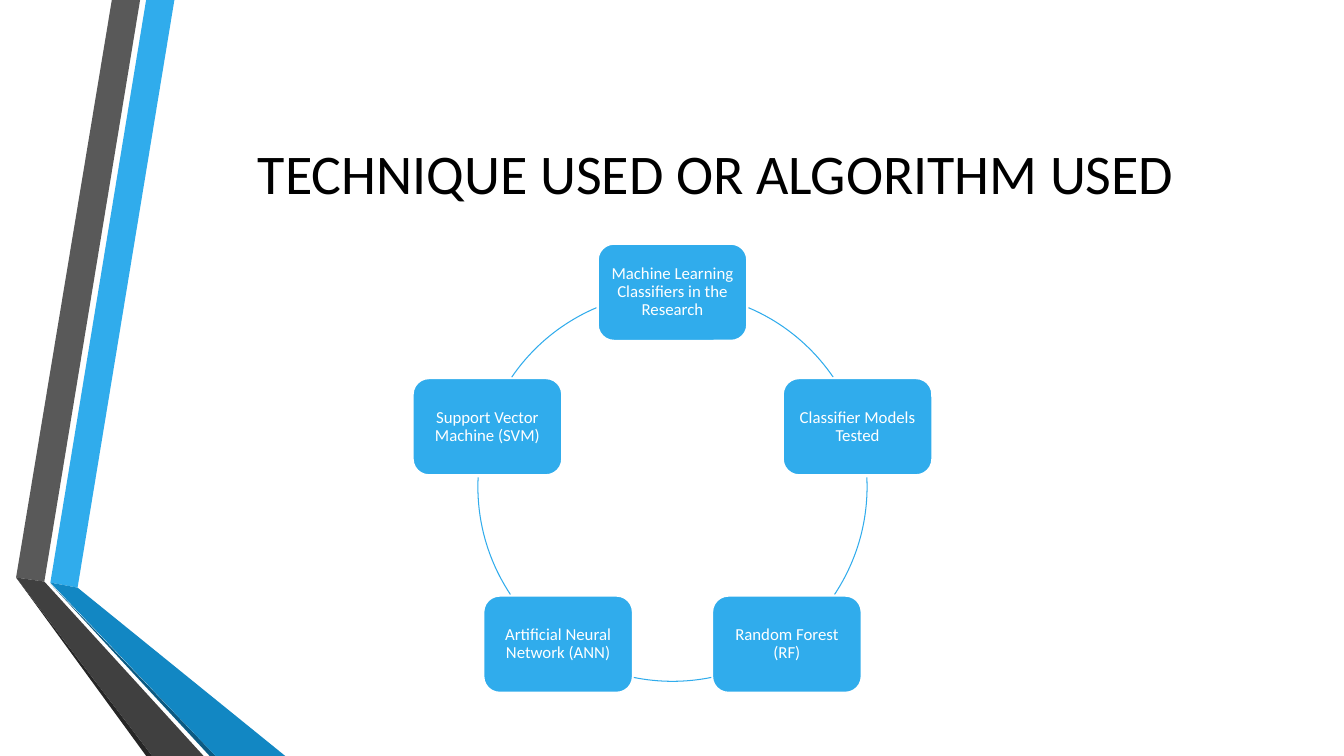
import dataclasses
import math
import typing

import pptx
import pptx.dml.color
import pptx.enum.shapes
import pptx.enum.text
import pptx.util

Inches = pptx.util.Inches
Pt = pptx.util.Pt
Color = pptx.dml.color.RGBColor.from_string


@dataclasses.dataclass(frozen=True)
class Theme:
    font: str = "Calibri"
    title_size: float = 40
    node_size: float = 12
    ink: str = "000000"
    paper: str = "FFFFFF"
    accent: str = "30ACEC"
    accent_dark: str = "1287C3"
    accent_deep: str = "0C5A82"
    gray: str = "595959"
    gray_dark: str = "404040"
    gray_deep: str = "262626"


class Ribbon(typing.NamedTuple):
    color: str
    points: list[tuple[float, float]]


class Stage(typing.NamedTuple):
    label: str
    arc_start: float
    arc_end: float


THEME = Theme()
CENTER_X, CENTER_Y, RADIUS = 6.67, 4.83, 1.93
NODE_WIDTH, NODE_HEIGHT = 1.48, 0.96

RIBBONS = [
    Ribbon(THEME.accent, [(0.5, 5.78), (0.77, 5.83), (1.73, 0), (1.45, 0)]),
    Ribbon(THEME.gray, [(1.39, 0), (1.11, 0), (0.16, 5.73), (0.44, 5.77)]),
    Ribbon(THEME.gray_deep, [(0.16, 5.73), (1.45, 7.5), (1.51, 7.5)]),
    Ribbon(THEME.accent_deep, [(0.5, 5.79), (2.08, 7.5), (2.14, 7.5)]),
    Ribbon(THEME.accent_dark, [(0.5, 5.78), (2.14, 7.5), (2.83, 7.5), (0.77, 5.83)]),
    Ribbon(THEME.gray_dark, [(2.02, 7.5), (0.44, 5.77), (0.16, 5.73), (1.51, 7.5)]),
]

STAGES = [
    Stage("Machine Learning Classifiers in the Research", 293, 325.7),
    Stage("Classifier Models Tested", 357.2, 33.6),
    Stage("Random Forest (RF)", 78.5, 101.5),
    Stage("Artificial Neural Network (ANN)", 146.4, 182.8),
    Stage("Support Vector Machine (SVM)", 214.3, 247),
]


def apply(target: typing.Any, values: dict[str, typing.Any]) -> None:
    for name, value in values.items():
        setattr(target, name, value)


def write(shape: typing.Any, text: str, size: float, color: str,
          inset: float, line_spacing: float) -> None:
    frame = shape.text_frame
    frame.text = text
    apply(frame, {
        "word_wrap": True,
        "auto_size": pptx.enum.text.MSO_AUTO_SIZE.NONE,
        "vertical_anchor": pptx.enum.text.MSO_ANCHOR.MIDDLE,
        "margin_left": Inches(inset),
        "margin_right": Inches(inset),
        "margin_top": Inches(0.05),
        "margin_bottom": Inches(0.05),
    })
    para = frame.paragraphs[0]
    apply(para, {
        "alignment": pptx.enum.text.PP_ALIGN.CENTER,
        "line_spacing": line_spacing,
    })
    span = para.runs[0]
    apply(span.font, {"name": THEME.font, "size": Pt(size)})
    span.font.color.rgb = Color(color)


def draw_ribbon(page: typing.Any, ribbon: Ribbon) -> None:
    corners = [(Inches(x), Inches(y)) for x, y in ribbon.points]
    builder = page.shapes.build_freeform(*corners[0])
    builder.add_line_segments(corners[1:], close=True)
    shape = builder.convert_to_shape()
    shape.shadow.inherit = False
    shape.fill.solid()
    shape.fill.fore_color.rgb = Color(ribbon.color)
    shape.line.fill.background()


def draw_node(page: typing.Any, stage: Stage, angle: float) -> None:
    x = CENTER_X + RADIUS * math.sin(angle)
    y = CENTER_Y - RADIUS * math.cos(angle)
    node = page.shapes.add_shape(
        pptx.enum.shapes.MSO_SHAPE.ROUNDED_RECTANGLE,
        Inches(x - NODE_WIDTH / 2), Inches(y - NODE_HEIGHT / 2),
        Inches(NODE_WIDTH), Inches(NODE_HEIGHT))
    node.shadow.inherit = False
    node.fill.solid()
    node.fill.fore_color.rgb = Color(THEME.accent)
    node.line.color.rgb = Color(THEME.paper)
    node.line.width = Pt(1.25)
    write(node, stage.label, THEME.node_size, THEME.paper, 0.05, 0.9)


def draw_arc(page: typing.Any, stage: Stage) -> None:
    arc = page.shapes.add_shape(
        pptx.enum.shapes.MSO_SHAPE.ARC,
        Inches(CENTER_X - RADIUS), Inches(CENTER_Y - RADIUS),
        Inches(2 * RADIUS), Inches(2 * RADIUS))
    arc.shadow.inherit = False
    for index, degrees in enumerate((stage.arc_start, stage.arc_end)):
        arc.adjustments[index] = degrees * 0.6
    arc.fill.background()
    arc.line.color.rgb = Color(THEME.accent)
    arc.line.width = Pt(0.75)


def main() -> None:
    deck = pptx.Presentation()
    apply(deck, {"slide_width": Inches(13.33), "slide_height": Inches(7.5)})
    page = deck.slides.add_slide(deck.slide_layouts[5])
    page.background.fill.solid()
    page.background.fill.fore_color.rgb = Color(THEME.paper)

    for ribbon in RIBBONS:
        draw_ribbon(page, ribbon)

    title = page.shapes.title
    apply(title, {"left": Inches(1.62), "top": Inches(0.75),
                  "width": Inches(10.96), "height": Inches(1.92)})
    write(title, "TECHNIQUE USED OR ALGORITHM USED",
          THEME.title_size, THEME.ink, 0.1, 1)

    for index, stage in enumerate(STAGES):
        draw_node(page, stage, index * math.tau / len(STAGES))
        draw_arc(page, stage)

    deck.save("out.pptx")


if __name__ == "__main__":
    main()
